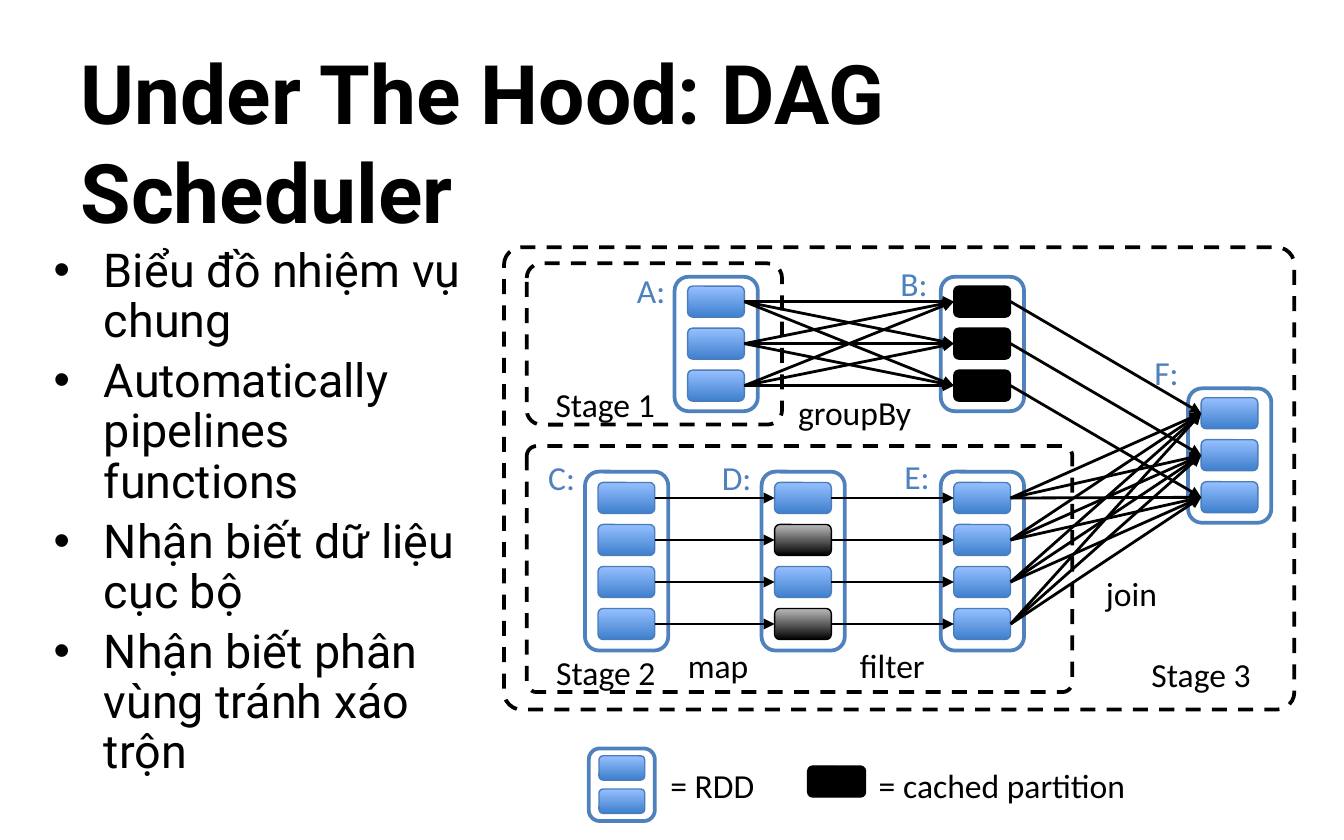
from dataclasses import dataclass
from itertools import product

import pptx
import pptx.dml.color
import pptx.enum.dml
import pptx.enum.shapes
import pptx.enum.text
import pptx.oxml
import pptx.oxml.ns
import pptx.util
from lxml import etree

Pt = pptx.util.Pt
RGBColor = pptx.dml.color.RGBColor
Align = pptx.enum.text.PP_ALIGN
Anchor = pptx.enum.text.MSO_ANCHOR

BLACK = RGBColor(0x00, 0x00, 0x00)
WHITE = RGBColor(0xFF, 0xFF, 0xFF)
BLUE = RGBColor(0x4F, 0x81, 0xBD)
PARTITION_EDGE = RGBColor(0x4A, 0x7D, 0xBA)
PARTITION_DARK = RGBColor(0x3E, 0x7F, 0xCD)
PARTITION_LIGHT = RGBColor(0x96, 0xC0, 0xFF)
GREY = RGBColor(0xBA, 0xBA, 0xBA)

LEFT_SIDE, RIGHT_SIDE = 1, 3
ROUNDING = 0.167


@dataclass(frozen=True)
class Style:
    line: RGBColor
    line_width: float
    fill: tuple[RGBColor, ...] = ()
    dashed: bool = False


@dataclass(frozen=True)
class Box:
    left: float
    top: float
    width: float
    height: float
    style: Style
    rounding: float = ROUNDING


@dataclass(frozen=True)
class Dataset:
    left: float
    top: float
    partitions: tuple[Style, ...]
    width: float = 44.6
    height: float = 72
    inset_x: float = 7
    inset_y: float = 5
    partition_width: float = 30.4
    partition_height: float = 16.6
    pitch: float = 22.5


@dataclass(frozen=True)
class Label:
    text: str
    left: float
    top: float
    width: float
    color: RGBColor = BLACK
    align: Align = Align.LEFT


STAGE = Style(BLACK, 2, dashed=True)
CONTAINER = Style(BLUE, 2, (WHITE,))
NORMAL = Style(PARTITION_EDGE, 0.75, (PARTITION_DARK, PARTITION_LIGHT))
CACHED = Style(BLACK, 0.75, (BLACK,))
SHADED = Style(BLACK, 0.75, (BLACK, GREY))

STAGES = [
    Box(270, 132.5, 423.4, 247.7, STAGE, 0.038),
    Box(282.2, 141.1, 136.8, 86.4, STAGE, 0.091),
    Box(282.2, 239, 292.3, 131.8, STAGE, 0.041),
]
TALL = {"height": 95.8, "inset_y": 5.8}
DATASETS = {
    "A": Dataset(361.4, 148.3, (NORMAL,) * 3),
    "B": Dataset(504, 148.3, (CACHED,) * 3),
    "C": Dataset(313.4, 252.7, (NORMAL,) * 4, **TALL),
    "D": Dataset(408, 252.7, (NORMAL, SHADED) * 2, **TALL),
    "E": Dataset(504, 252.7, (NORMAL,) * 4, **TALL),
    "F": Dataset(636.5, 208.1, (NORMAL,) * 3),
}
LEGEND_DATASET = Dataset(315.4, 401, (NORMAL,) * 2, 35.4, 38.9, 5.5, 3.9, 24.5, 13, 17.8)
LEGEND_CACHED = Box(432.7, 410.4, 31, 16.6, CACHED)
NARROW_LINKS = [("B", "F"), ("C", "D"), ("D", "E")]
WIDE_LINKS = [("A", "B"), ("E", "F")]

LABELS = [
    Label("= RDD", 352.1, 406.1, 64),
    Label("= cached partition", 463.7, 406.1, 150),
    Label("join", 585.4, 303.1, 45),
    Label("filter", 453.6, 342, 51),
    Label("groupBy", 420.5, 206.6, 80),
    Label("map", 361.4, 342, 50),
    Label("Stage 1", 288.7, 202.3, 71, align=Align.CENTER),
    Label("Stage 2", 290.9, 345.6, 72),
    Label("Stage 3", 609.8, 347, 72),
    Label("A:", 334.1, 141.1, 32, BLUE),
    Label("B:", 475.2, 137.5, 32, BLUE),
    Label("C:", 286.6, 241.2, 32, BLUE),
    Label("D:", 378, 241.2, 31.7, BLUE, Align.RIGHT),
    Label("E:", 477.4, 240.5, 31, BLUE),
    Label("F:", 611.3, 185, 30, BLUE),
]
BULLETS = [
    "Biểu đồ nhiệm vụ chung",
    "Automatically pipelines functions",
    "Nhận biết dữ liệu cục bộ",
    "Nhận biết phân vùng tránh xáo trộn",
]


def add_run(paragraph, text: str, font: str, size: float, color: RGBColor, bold: bool = False) -> None:
    run = paragraph.add_run()
    run.text = text
    run.font.name = font
    run.font.size = Pt(size)
    run.font.bold = bold
    run.font.color.rgb = color


def add_box(slide, box: Box):
    shape = slide.shapes.add_shape(
        pptx.enum.shapes.MSO_SHAPE.ROUNDED_RECTANGLE,
        Pt(box.left), Pt(box.top), Pt(box.width), Pt(box.height),
    )
    shape.adjustments[0] = box.rounding
    shape.shadow.inherit = False
    style = box.style
    if len(style.fill) == 2:
        shape.fill.gradient()
        shape.fill.gradient_angle = 90
        for stop, color in zip(shape.fill.gradient_stops, style.fill):
            stop.color.rgb = color
    elif style.fill:
        shape.fill.solid()
        shape.fill.fore_color.rgb = style.fill[0]
    else:
        shape.fill.background()
    shape.line.color.rgb = style.line
    shape.line.width = Pt(style.line_width)
    if style.dashed:
        shape.line.dash_style = pptx.enum.dml.MSO_LINE.DASH
    return shape


def add_dataset(slide, dataset: Dataset) -> list:
    add_box(slide, Box(dataset.left, dataset.top, dataset.width, dataset.height, CONTAINER))
    return [
        add_box(slide, Box(
            dataset.left + dataset.inset_x,
            dataset.top + dataset.inset_y + row * dataset.pitch,
            dataset.partition_width, dataset.partition_height, style,
        ))
        for row, style in enumerate(dataset.partitions)
    ]


def add_arrow(slide, source, target) -> None:
    connector = slide.shapes.add_connector(pptx.enum.shapes.MSO_CONNECTOR.STRAIGHT, 0, 0, 0, 0)
    connector.begin_connect(source, RIGHT_SIDE)
    connector.end_connect(target, LEFT_SIDE)
    connector.line.color.rgb = BLACK
    connector.line.width = Pt(1.5)
    line = connector.line._get_or_add_ln()
    etree.SubElement(line, pptx.oxml.ns.qn("a:tailEnd"), type="triangle")
    etree.SubElement(connector._element.spPr, pptx.oxml.ns.qn("a:effectLst"))


def add_label(slide, label: Label) -> None:
    shape = slide.shapes.add_textbox(Pt(label.left), Pt(label.top), Pt(label.width), Pt(29))
    shape.text_frame.word_wrap = True
    paragraph = shape.text_frame.paragraphs[0]
    paragraph.alignment = label.align
    add_run(paragraph, label.text, "Calibri", 18, label.color)


def format_title(slide) -> None:
    title = slide.shapes.title
    title.left, title.top, title.width, title.height = Pt(36), Pt(38.2), Pt(648), Pt(74.9)
    frame = title.text_frame
    frame.auto_size = pptx.enum.text.MSO_AUTO_SIZE.NONE
    frame.vertical_anchor = Anchor.MIDDLE
    frame.paragraphs[0].alignment = Align.LEFT
    add_run(frame.paragraphs[0], "Under The Hood: DAG Scheduler", "Roboto", 44, BLACK, True)


def add_bullets(slide, texts: list[str]) -> None:
    frame = slide.shapes.add_textbox(Pt(21.6), Pt(128.9), Pt(248.4), Pt(282.2)).text_frame
    frame.word_wrap = True
    for index, text in enumerate(texts):
        paragraph = frame.add_paragraph() if index else frame.paragraphs[0]
        paragraph.line_spacing = 0.9
        paragraph.space_before = Pt(5 if index else 0)
        properties = paragraph._p.get_or_add_pPr()
        properties.set("marL", str(Pt(27)))
        properties.set("indent", str(-Pt(27)))
        etree.SubElement(properties, pptx.oxml.ns.qn("a:buFont"), typeface="Arial")
        etree.SubElement(properties, pptx.oxml.ns.qn("a:buChar"), char="•")
        add_run(paragraph, text, "Roboto", 25, BLACK)


def main() -> None:
    presentation = pptx.Presentation()
    presentation.slide_width, presentation.slide_height = Pt(720), Pt(450)
    slide = presentation.slides.add_slide(presentation.slide_layouts[5])
    format_title(slide)
    add_bullets(slide, BULLETS)
    for stage in STAGES:
        add_box(slide, stage)
    partitions = {name: add_dataset(slide, dataset) for name, dataset in DATASETS.items()}
    add_dataset(slide, LEGEND_DATASET)
    add_box(slide, LEGEND_CACHED)
    for links, pairing in ((NARROW_LINKS, zip), (WIDE_LINKS, product)):
        for start, end in links:
            for source, target in pairing(partitions[start], partitions[end]):
                add_arrow(slide, source, target)
    for label in LABELS:
        add_label(slide, label)
    presentation.save("out.pptx")


if __name__ == "__main__":
    main()
